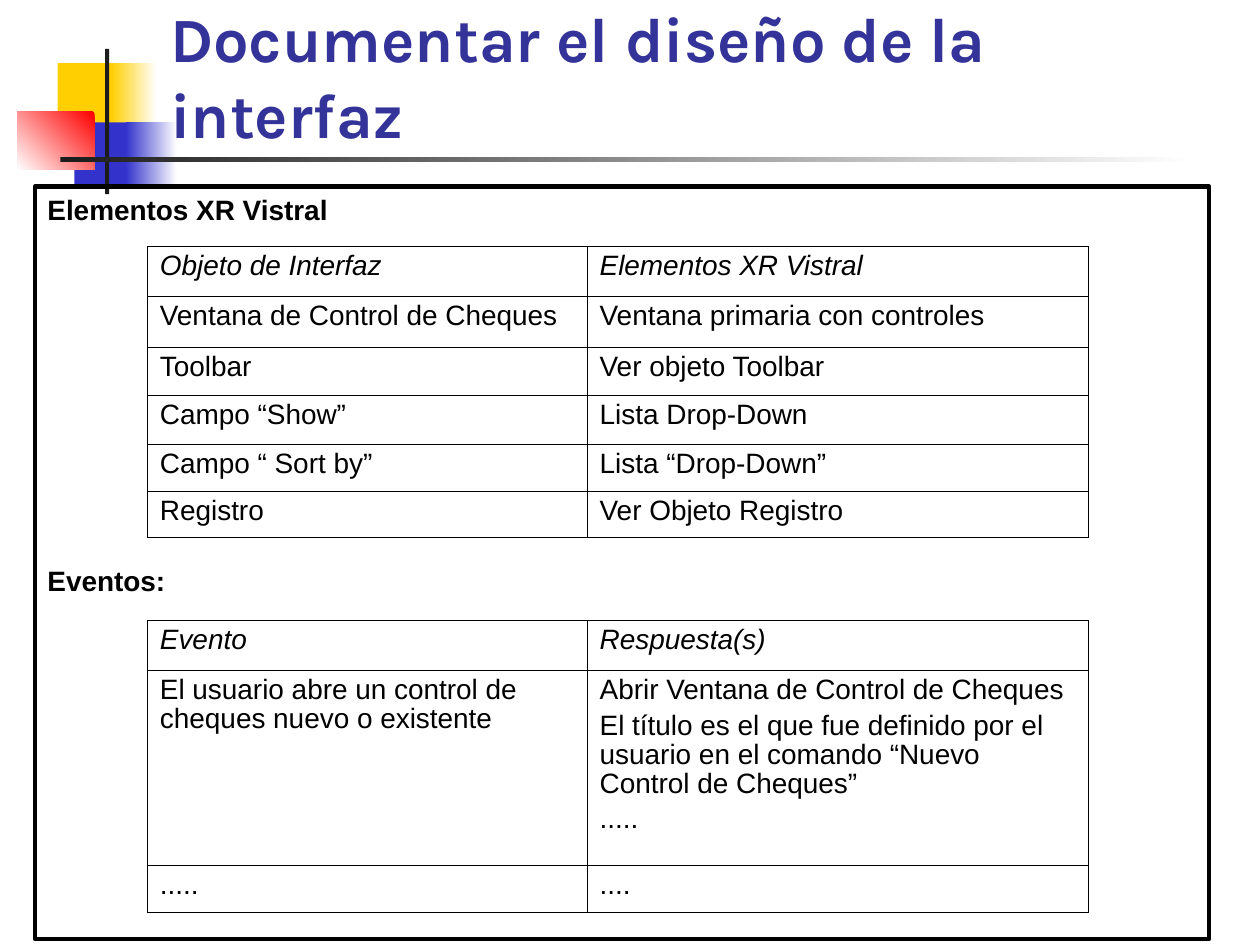
from dataclasses import dataclass

from lxml import etree
from pptx import Presentation
from pptx.dml.color import RGBColor
from pptx.enum.shapes import MSO_SHAPE
from pptx.enum.text import MSO_ANCHOR, PP_ALIGN
from pptx.oxml.ns import qn
from pptx.util import Pt

RECTANGLE = MSO_SHAPE.RECTANGLE
LEFT = PP_ALIGN.LEFT
TOP, BOTTOM = MSO_ANCHOR.TOP, MSO_ANCHOR.BOTTOM
TITLE_ONLY = 5


@dataclass(frozen=True)
class Theme:
    title: str = "333399"
    text: str = "000000"
    white: str = "FFFFFF"
    yellow: str = "FFCF01"
    blue: str = "3333CC"
    red: str = "FF0000"
    dark: str = "1C1C1C"
    title_font: str = "Karla"
    body_font: str = "Arial"
    title_size: int = 36
    body_size: int = 16
    outer_border: float = 0.5
    inner_border: float = 0.23


theme = Theme()


def style(paragraph, font, size, color, bold=False, italic=False):
    paragraph.alignment = LEFT
    paragraph.font.name = font
    paragraph.font.size = Pt(size)
    paragraph.font.bold = bold
    paragraph.font.italic = italic
    paragraph.font.color.rgb = RGBColor.from_string(color)


def set_border(cell, side, width):
    """Draw one side of a cell; side is L, R, T or B."""
    line = etree.SubElement(cell._tc.get_or_add_tcPr(), qn(f"a:ln{side}"), w=str(Pt(width)))
    fill = etree.SubElement(line, qn("a:solidFill"))
    etree.SubElement(fill, qn("a:srgbClr"), val=theme.text)


deck = Presentation()
deck.slide_width, deck.slide_height = Pt(720), Pt(540)
page = deck.slides.add_slide(deck.slide_layouts[TITLE_ONLY])

# Corner ornament: left, top, width, height, colour, angle of the fade to white
ornament = [
    (33, 36, 34.5, 37.5, theme.yellow, None),
    (63.5, 36, 26, 37.5, theme.yellow, 0),
    (42.5, 70, 33, 37.5, theme.blue, None),
    (72, 70, 29, 37.5, theme.blue, 0),
    (10, 64, 44, 33, theme.red, 225),
    (60, 28, 2.4, 83, theme.dark, None),
    (34.5, 90, 648, 2.5, theme.dark, 0),
]
for left, top, width, height, color, angle in ornament:
    block = page.shapes.add_shape(RECTANGLE, Pt(left), Pt(top), Pt(width), Pt(height))
    block.shadow.inherit = False
    block.line.fill.background()
    if angle is None:
        block.fill.solid()
        block.fill.fore_color.rgb = RGBColor.from_string(color)
    else:
        block.fill.gradient()
        block.fill.gradient_angle = angle
        for stop, shade in zip(block.fill.gradient_stops, (color, theme.white)):
            stop.color.rgb = RGBColor.from_string(shade)

# Title, in front of the ornament
title = page.shapes.title
page.shapes._spTree.append(title._element)
title.left, title.top, title.width, title.height = Pt(90), Pt(0), Pt(613.5), Pt(90)
title.text_frame.text = "Documentar el diseño de la interfaz"
title.text_frame.word_wrap = True
title.text_frame.vertical_anchor = BOTTOM
style(title.text_frame.paragraphs[0], theme.title_font, theme.title_size, theme.title, bold=True)

# Frame with the two section headings
frame = page.shapes.add_shape(RECTANGLE, Pt(20), Pt(106.6), Pt(671), Pt(430))
frame.shadow.inherit = False
frame.fill.background()
frame.line.color.rgb = RGBColor.from_string(theme.text)
frame.line.width = Pt(2.5)
frame.text_frame.word_wrap = True
frame.text_frame.vertical_anchor = TOP
frame.text_frame.text = "Elementos XR Vistral\nEventos:"
for paragraph in frame.text_frame.paragraphs:
    style(paragraph, theme.body_font, theme.body_size, theme.text, bold=True)
frame.text_frame.paragraphs[1].space_before = Pt(192.5)

# Tables: top, row heights, cell texts; the first row is the italic header
column_widths = (251.3, 286.7)
tables = [
    (140.7, (28.4, 29.3, 27.3, 28, 26.8, 26.5), [
        ("Objeto de Interfaz", "Elementos XR Vistral"),
        ("Ventana de Control de Cheques", "Ventana primaria con controles"),
        ("Toolbar", "Ver objeto Toolbar"),
        ("Campo “Show”", "Lista Drop-Down"),
        ("Campo “ Sort by”", "Lista “Drop-Down”"),
        ("Registro", "Ver Objeto Registro"),
    ]),
    (354.4, (28.4, 111.6, 27), [
        ("Evento", "Respuesta(s)"),
        ("El usuario abre un control de cheques nuevo o existente",
         "Abrir Ventana de Control de Cheques\n"
         "El título es el que fue definido por el usuario en el comando "
         "“Nuevo Control de Cheques”\n....."),
        (".....", "...."),
    ]),
]
for top, row_heights, rows in tables:
    table = page.shapes.add_table(
        len(rows), len(column_widths), Pt(84.2), Pt(top),
        Pt(sum(column_widths)), Pt(sum(row_heights))).table
    table.first_row = table.horz_banding = False
    for column, width in zip(table.columns, column_widths):
        column.width = Pt(width)
    for row, height in zip(table.rows, row_heights):
        row.height = Pt(height)
    for row_index, texts in enumerate(rows):
        for column_index, text in enumerate(texts):
            cell = table.cell(row_index, column_index)
            cell.text = text
            for paragraph in cell.text_frame.paragraphs:
                style(paragraph, theme.body_font, theme.body_size, theme.text,
                      italic=row_index == 0)
                paragraph.line_spacing = 0.93
                paragraph.space_before = Pt(4)
            outer_sides = {
                "L": column_index == 0,
                "R": column_index == len(texts) - 1,
                "T": row_index == 0,
                "B": row_index == len(rows) - 1,
            }
            for side, is_outer in outer_sides.items():
                set_border(cell, side, theme.outer_border if is_outer else theme.inner_border)
            cell.fill.background()

deck.save("out.pptx")
